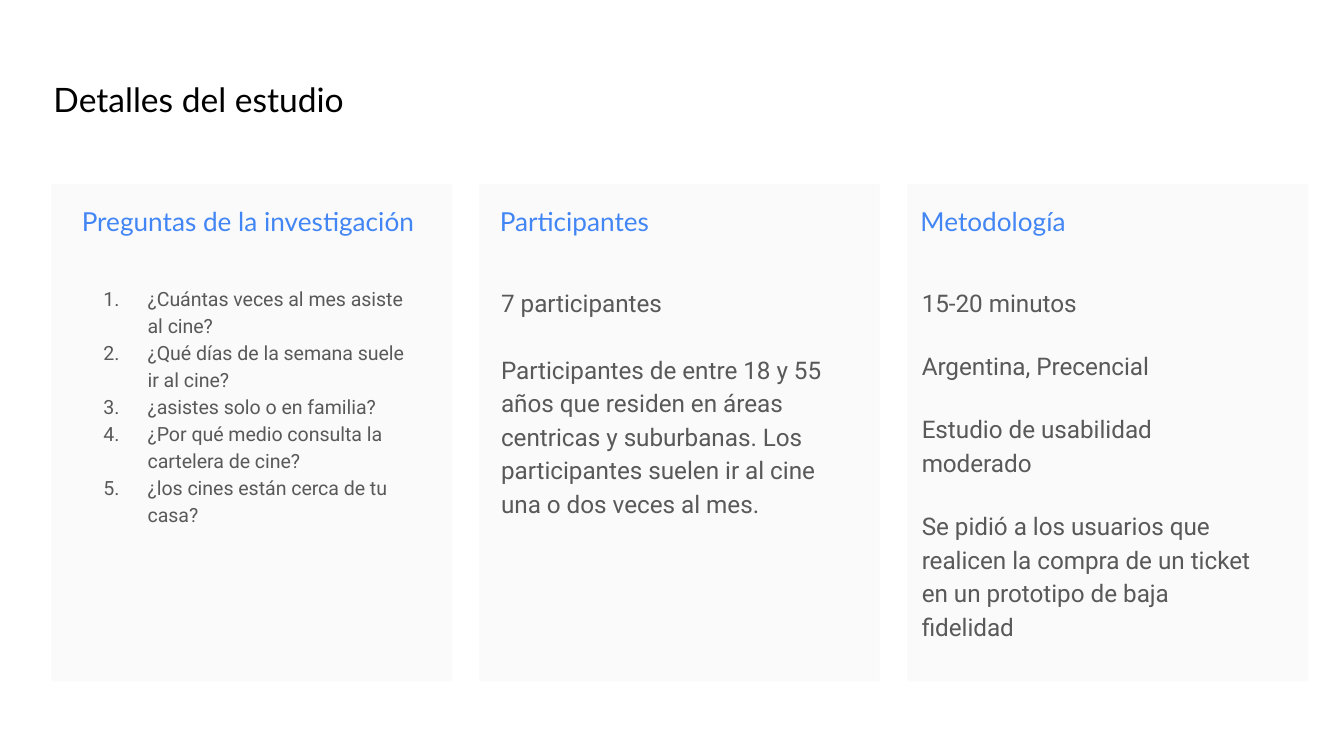
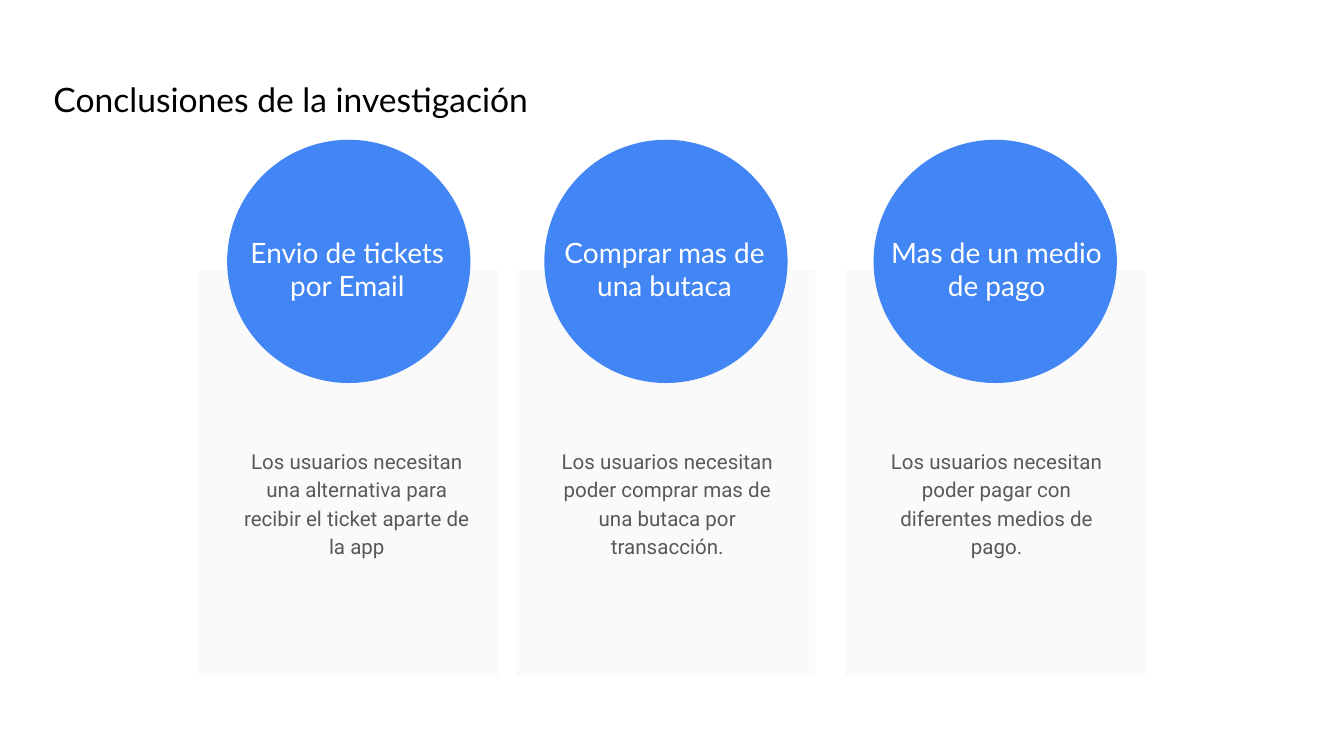
from dataclasses import dataclass

from lxml.etree import SubElement
from pptx import Presentation
from pptx.dml.color import RGBColor
from pptx.enum.shapes import MSO_SHAPE
from pptx.enum.text import MSO_ANCHOR, PP_ALIGN
from pptx.oxml.ns import qn
from pptx.slide import Slide
from pptx.util import Emu, Pt

EMU_PER_PX = 4572


@dataclass(frozen=True)
class Theme:
    background: str = "FFFFFF"
    panel: str = "FAFAFA"
    accent: str = "4285F4"
    title: str = "000000"
    body: str = "595959"
    on_accent: str = "FFFFFF"
    heading_font: str = "Lato"
    body_font: str = "Roboto"
    title_size: float = 18
    circle_size: float = 15
    heading_size: float = 14
    body_size: float = 13
    note_size: float = 11
    question_size: float = 10.5
    line_spacing: float = 1.15


@dataclass(frozen=True)
class Box:
    left: int
    top: int
    width: int
    height: int

    def emu(self) -> tuple[Emu, Emu, Emu, Emu]:
        return px(self.left), px(self.top), px(self.width), px(self.height)


@dataclass(frozen=True)
class StudyDetail:
    heading: str
    paragraphs: tuple[str, ...]
    heading_left: int
    body_left: int
    body_height: int = 484
    size: float = 13
    gap: float = 0
    numbered: bool = False


@dataclass(frozen=True)
class Conclusion:
    heading: str
    note: str
    left: int
    heading_left: int
    note_left: int


THEME = Theme()
INSET = 20
NOTE_INSET = 107
LIST_INDENT = 100
LIST_HANGING = 66

STUDY_DETAILS = (
    StudyDetail(
        "Preguntas de la investigación",
        (
            "¿Cuántas veces al mes asiste al cine?",
            "¿Qué días de la semana suele ir al cine?",
            "¿asistes solo o en familia?",
            "¿Por qué medio consulta la cartelera de cine?",
            "¿los cines están cerca de tu casa?",
        ),
        heading_left=102,
        body_left=100,
        body_height=570,
        size=THEME.question_size,
        numbered=True,
    ),
    StudyDetail(
        "Participantes",
        (
            "7 participantes",
            "Participantes de entre 18 y 55 años que residen en áreas centricas y "
            "suburbanas. Los participantes suelen ir al cine una o dos veces al mes.",
        ),
        heading_left=724,
        body_left=726,
        size=THEME.body_size,
        gap=18,
    ),
    StudyDetail(
        "Metodología",
        (
            "15-20 minutos",
            "Argentina, Precencial",
            "Estudio de usabilidad moderado",
            "Se pidió a los usuarios que realicen la compra de un ticket en un "
            "prototipo de baja fidelidad",
        ),
        heading_left=1350,
        body_left=1352,
        size=THEME.body_size,
        gap=16,
    ),
)

CONCLUSIONS = (
    Conclusion(
        "Envio de tickets por Email",
        "Los usuarios necesitan una alternativa para recibir el ticket aparte de la app",
        left=296,
        heading_left=322,
        note_left=336,
    ),
    Conclusion(
        "Comprar mas de una butaca",
        "Los usuarios necesitan poder comprar mas de una butaca por transacción.",
        left=768,
        heading_left=794,
        note_left=798,
    ),
    Conclusion(
        "Mas de un medio de pago",
        "Los usuarios necesitan poder pagar con diferentes medios de pago.",
        left=1258,
        heading_left=1288,
        note_left=1288,
    ),
)


def px(length: int) -> Emu:
    return Emu(length * EMU_PER_PX)


def add_figure(slide: Slide, kind: MSO_SHAPE, box: Box, color: str) -> None:
    figure = slide.shapes.add_shape(kind, *box.emu())
    figure.shadow.inherit = False
    figure.fill.solid()
    figure.fill.fore_color.rgb = RGBColor.from_string(color)
    figure.line.fill.background()


def number_paragraph(paragraph, color: str, font: str) -> None:
    properties = paragraph._p.get_or_add_pPr()
    properties.set("marL", str(px(LIST_INDENT)))
    properties.set("indent", str(-px(LIST_HANGING)))
    bullet_color = SubElement(properties, qn("a:buClr"))
    SubElement(bullet_color, qn("a:srgbClr"), val=color)
    SubElement(properties, qn("a:buFont"), typeface=font)
    SubElement(properties, qn("a:buAutoNum"), type="arabicPeriod")


def add_text(
    slide: Slide,
    box: Box,
    *paragraphs: str,
    size: float,
    font: str = THEME.body_font,
    color: str = THEME.body,
    align: PP_ALIGN = PP_ALIGN.LEFT,
    line_spacing: float = THEME.line_spacing,
    gap: float = 0,
    top_inset: int = INSET,
    numbered: bool = False,
) -> None:
    frame = slide.shapes.add_textbox(*box.emu()).text_frame
    frame.word_wrap = True
    frame.vertical_anchor = MSO_ANCHOR.TOP
    frame.margin_left = frame.margin_right = frame.margin_bottom = px(INSET)
    frame.margin_top = px(top_inset)
    for index, text in enumerate(paragraphs):
        paragraph = frame.add_paragraph() if index else frame.paragraphs[0]
        paragraph.alignment = align
        paragraph.line_spacing = line_spacing
        paragraph.space_before = Pt(gap if index else 0)
        if numbered:
            number_paragraph(paragraph, color, font)
        run = paragraph.add_run()
        run.text = text
        run.font.name = font
        run.font.size = Pt(size)
        run.font.color.rgb = RGBColor.from_string(color)


def add_titled_slide(deck: Presentation, title: str, box: Box) -> Slide:
    slide = deck.slides.add_slide(deck.slide_layouts[6])
    slide.background.fill.solid()
    slide.background.fill.fore_color.rgb = RGBColor.from_string(THEME.background)
    add_text(slide, box, title, size=THEME.title_size,
             font=THEME.heading_font, color=THEME.title)
    return slide


def draw_study_detail(slide: Slide, detail: StudyDetail, left: int) -> None:
    add_figure(slide, MSO_SHAPE.RECTANGLE, Box(left, 274, 596, 740), THEME.panel)
    add_text(slide, Box(detail.heading_left, 286, 542, 62), detail.heading,
             size=THEME.heading_size, font=THEME.heading_font,
             color=THEME.accent, line_spacing=1)
    add_text(slide, Box(detail.body_left, 402, 542, detail.body_height),
             *detail.paragraphs, size=detail.size, gap=detail.gap,
             numbered=detail.numbered)


def draw_conclusion(slide: Slide, conclusion: Conclusion) -> None:
    panel = Box(conclusion.left, 402, 446, 604)
    diameter = 362
    circle_left = panel.left + (panel.width - diameter) // 2
    add_figure(slide, MSO_SHAPE.RECTANGLE, panel, THEME.panel)
    add_figure(slide, MSO_SHAPE.OVAL,
               Box(circle_left, 208, diameter, diameter), THEME.accent)
    add_text(slide, Box(conclusion.heading_left, 330, 390, 118), conclusion.heading,
             size=THEME.circle_size, font=THEME.heading_font,
             color=THEME.on_accent, align=PP_ALIGN.CENTER, line_spacing=1)
    add_text(slide, Box(conclusion.note_left, 556, 390, 294), conclusion.note,
             size=THEME.note_size, align=PP_ALIGN.CENTER, top_inset=NOTE_INSET)


def main() -> None:
    deck = Presentation()
    deck.slide_width, deck.slide_height = px(2000), px(1125)

    study = add_titled_slide(deck, "Detalles del estudio", Box(60, 88, 1208, 144))
    for column, detail in enumerate(STUDY_DETAILS):
        draw_study_detail(study, detail, 76 + column * 637)

    findings = add_titled_slide(
        deck, "Conclusiones de la investigación", Box(60, 88, 1008, 106))
    for conclusion in CONCLUSIONS:
        draw_conclusion(findings, conclusion)

    deck.save("out.pptx")


if __name__ == "__main__":
    main()
